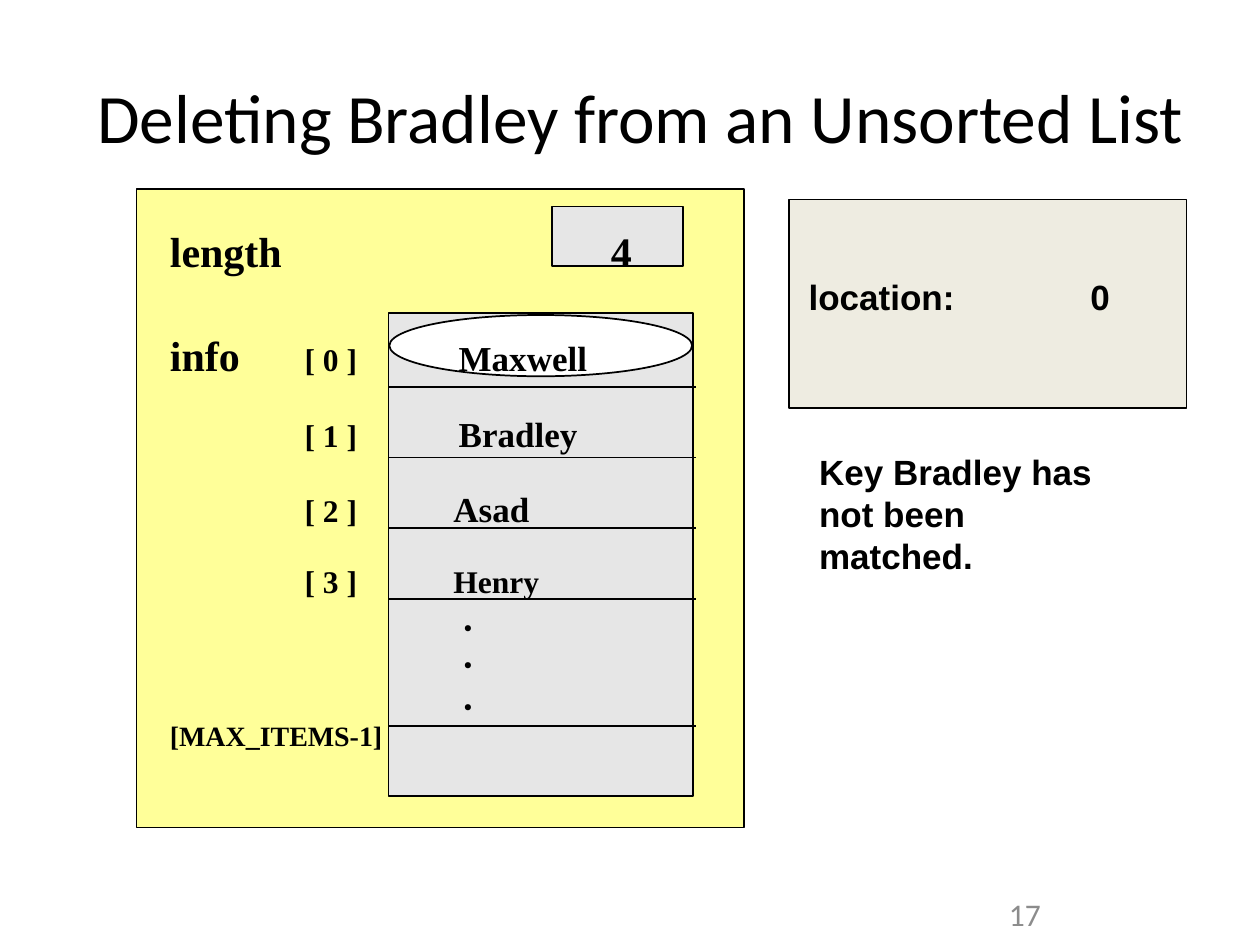
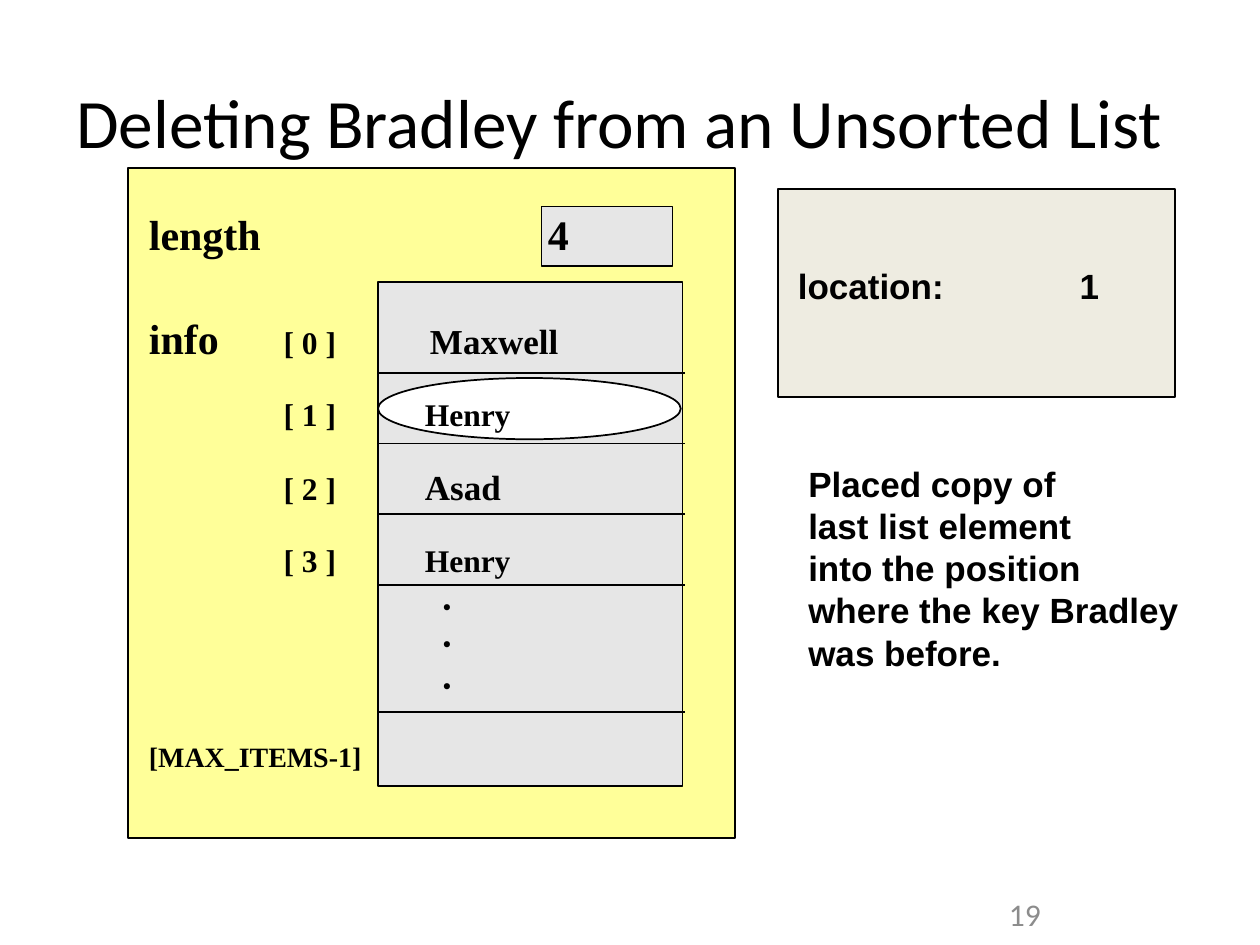
from dataclasses import dataclass
from typing import Any

import lxml.etree
import pptx
import pptx.dml.color
import pptx.enum.shapes
import pptx.enum.text
import pptx.oxml.ns
import pptx.util

Pt = pptx.util.Pt
SHAPES = pptx.enum.shapes.MSO_SHAPE
ANCHOR = pptx.enum.text.MSO_ANCHOR
ALIGN = pptx.enum.text.PP_ALIGN

# Shared look
BLACK, WHITE, YELLOW = "000000", "FFFFFF", "FFFF99"
CELL_GREY, PANEL_BEIGE, NUMBER_GREY = "E6E6E6", "EEECE1", "8C8C8C"
SERIF = {"name": "Times New Roman", "bold": True}
SANS = {"name": "Arial", "bold": True, "size": Pt(20)}
DOTS = {"name": "Montserrat", "bold": True, "size": Pt(18)}
TITLE = {"name": "Calibri", "size": Pt(39.6)}
NUMBER = {"name": "Calibri", "size": Pt(18)}

TITLE_TEXT = "Deleting Bradley from an Unsorted List"
INDEX_TAB, DOT_TAB = 77, 168
ROW_STEP, LAST_ROW_OFFSET = 40.4, 194
ROW_GAP, INFO_GAP = 18.7, 30.5


@dataclass
class Box:
    left: float
    top: float
    width: float
    height: float

    def lengths(self) -> list[pptx.util.Length]:
        return [Pt(v) for v in (self.left, self.top, self.width, self.height)]


@dataclass
class Item:
    name: str
    size: float
    tab: float


@dataclass
class ListSlide:
    title: Box
    location_panel: Box
    list_panel: Box
    length_cell: Box
    array: Box
    first_line: float
    marker: Box
    location_label: Box
    location: str
    list_text: Box
    length_tab: float
    items: list[Item]
    last_gap: float
    remark_box: Box
    remark: list[str]
    number: str


def color(value: str) -> pptx.dml.color.RGBColor:
    return pptx.dml.color.RGBColor.from_string(value)


def style(font: Any, look: dict[str, Any], ink: str = BLACK) -> None:
    for key, value in look.items():
        setattr(font, key, value)
    font.color.rgb = color(ink)


def add_run(paragraph: Any, text: str, look: dict[str, Any], ink: str = BLACK) -> None:
    run = paragraph.add_run()
    run.text = text
    style(run.font, look, ink)


def set_tabs(paragraph: Any, *stops: float) -> None:
    tag = pptx.oxml.ns.qn
    tabs = lxml.etree.SubElement(paragraph._p.get_or_add_pPr(), tag("a:tabLst"))
    for stop in stops:
        lxml.etree.SubElement(tabs, tag("a:tab"), pos=str(int(Pt(stop))), algn="l")


def add_panel(slide: Any, kind: Any, box: Box, fill: str) -> None:
    panel = slide.shapes.add_shape(kind, *box.lengths())
    panel.shadow.inherit = False
    panel.fill.solid()
    panel.fill.fore_color.rgb = color(fill)
    panel.line.color.rgb = color(BLACK)
    panel.line.width = Pt(1)


def add_rule(slide: Any, left: float, y: float, width: float) -> None:
    rule = slide.shapes.add_connector(
        pptx.enum.shapes.MSO_CONNECTOR.STRAIGHT, Pt(left), Pt(y), Pt(left + width), Pt(y))
    rule.line.color.rgb = color(BLACK)
    rule.line.width = Pt(1)
    lxml.etree.SubElement(rule._element.spPr, pptx.oxml.ns.qn("a:effectLst"))


def add_frame(slide: Any, box: Box) -> Any:
    frame = slide.shapes.add_textbox(*box.lengths()).text_frame
    frame.word_wrap = True
    return frame


def add_paragraph(frame: Any, gap: float) -> Any:
    paragraph = frame.add_paragraph()
    paragraph.space_before = Pt(gap)
    return paragraph


def add_list_text(slide: Any, page: ListSlide) -> None:
    frame = add_frame(slide, page.list_text)

    # Length line
    length = frame.paragraphs[0]
    set_tabs(length, page.length_tab)
    add_run(length, "length\t4", SERIF | {"size": Pt(24)})

    # One line for each list element
    for index, item in enumerate(page.items):
        row = add_paragraph(frame, ROW_GAP if index else INFO_GAP)
        set_tabs(row, INDEX_TAB, item.tab)
        if index == 0:
            add_run(row, "info", SERIF | {"size": Pt(24)})
        add_run(row, f"\t[ {index} ]\t", SERIF | {"size": Pt(18)})
        add_run(row, item.name, SERIF | {"size": Pt(item.size)})

    # Unused elements
    for gap in (0, 0, 2):
        dot = add_paragraph(frame, gap)
        set_tabs(dot, DOT_TAB)
        add_run(dot, "\t.", DOTS)
    add_run(add_paragraph(frame, page.last_gap), "[MAX_ITEMS-1]", SERIF | {"size": Pt(16)})


def build(deck: Any, page: ListSlide) -> None:
    slide = deck.slides.add_slide(deck.slide_layouts.get_by_name("Title Only"))

    # Title
    title = slide.shapes.title
    for key, value in zip(("left", "top", "width", "height"), page.title.lengths()):
        setattr(title, key, value)
    title.text_frame.vertical_anchor = ANCHOR.MIDDLE
    heading = title.text_frame.paragraphs[0]
    heading.alignment = ALIGN.CENTER
    add_run(heading, TITLE_TEXT, TITLE)

    # Panels and array
    add_panel(slide, SHAPES.RECTANGLE, page.location_panel, PANEL_BEIGE)
    add_panel(slide, SHAPES.RECTANGLE, page.list_panel, YELLOW)
    for cell in (page.length_cell, page.array):
        add_panel(slide, SHAPES.RECTANGLE, cell, CELL_GREY)
    for offset in [ROW_STEP * row for row in range(4)] + [LAST_ROW_OFFSET]:
        add_rule(slide, page.array.left, page.first_line + offset, 175.5)
    add_panel(slide, SHAPES.OVAL, page.marker, WHITE)

    # Location and list contents
    location = add_frame(slide, page.location_label).paragraphs[0]
    set_tabs(location, 161)
    add_run(location, f"location:\t{page.location}", SANS)
    add_list_text(slide, page)

    # Remark
    frame = add_frame(slide, page.remark_box)
    for position, line in enumerate(page.remark):
        paragraph = frame.add_paragraph() if position else frame.paragraphs[0]
        paragraph.line_spacing = Pt(24)
        add_run(paragraph, line, SANS)

    # Slide number
    footer = add_frame(slide, Box(569.5, 504, 150, 36))
    footer.vertical_anchor = ANCHOR.MIDDLE
    add_run(footer.paragraphs[0], page.number, NUMBER, NUMBER_GREY)


PAGES = [
    ListSlide(
        title=Box(12, 42, 708, 48),
        location_panel=Box(451, 114, 227, 119),
        list_panel=Box(78, 108, 347, 365),
        length_cell=Box(315.4, 118, 75, 34),
        array=Box(222, 179, 174, 276),
        first_line=221,
        marker=Box(222.5, 180, 173, 35),
        location_label=Box(455, 154, 203, 32),
        location="0",
        list_text=Box(90, 125.3, 279, 320),
        length_tab=252,
        items=[Item("Maxwell", 20, 165), Item("Bradley", 20, 165),
               Item("Asad", 20, 162), Item("Henry", 18, 162)],
        last_gap=1.2,
        remark_box=Box(461, 254, 180, 80),
        remark=["Key Bradley has", "not been matched."],
        number="17",
    ),
    ListSlide(
        title=Box(12, 42, 684, 54),
        location_panel=Box(444.5, 108, 227, 119),
        list_panel=Box(73, 96, 347, 383),
        length_cell=Box(309.4, 118, 75, 34),
        array=Box(216, 161, 174, 288),
        first_line=213,
        marker=Box(216, 216, 173, 35),
        location_label=Box(448.8, 147.6, 203, 32),
        location="1",
        list_text=Box(78, 115.6, 378, 345),
        length_tab=228,
        items=[Item("Maxwell", 20, 160.6), Item("Henry", 18, 157.7),
               Item("Asad", 20, 157.7), Item("Henry", 18, 157.7)],
        last_gap=25.2,
        remark_box=Box(454.8, 261, 240, 128),
        remark=["Placed copy of", "last list element", "into the position",
                "where the key Bradley", "was before."],
        number="19",
    ),
]

deck = pptx.Presentation()
deck.slide_width, deck.slide_height = Pt(720), Pt(540)
for page in PAGES:
    build(deck, page)
deck.save("out.pptx")
